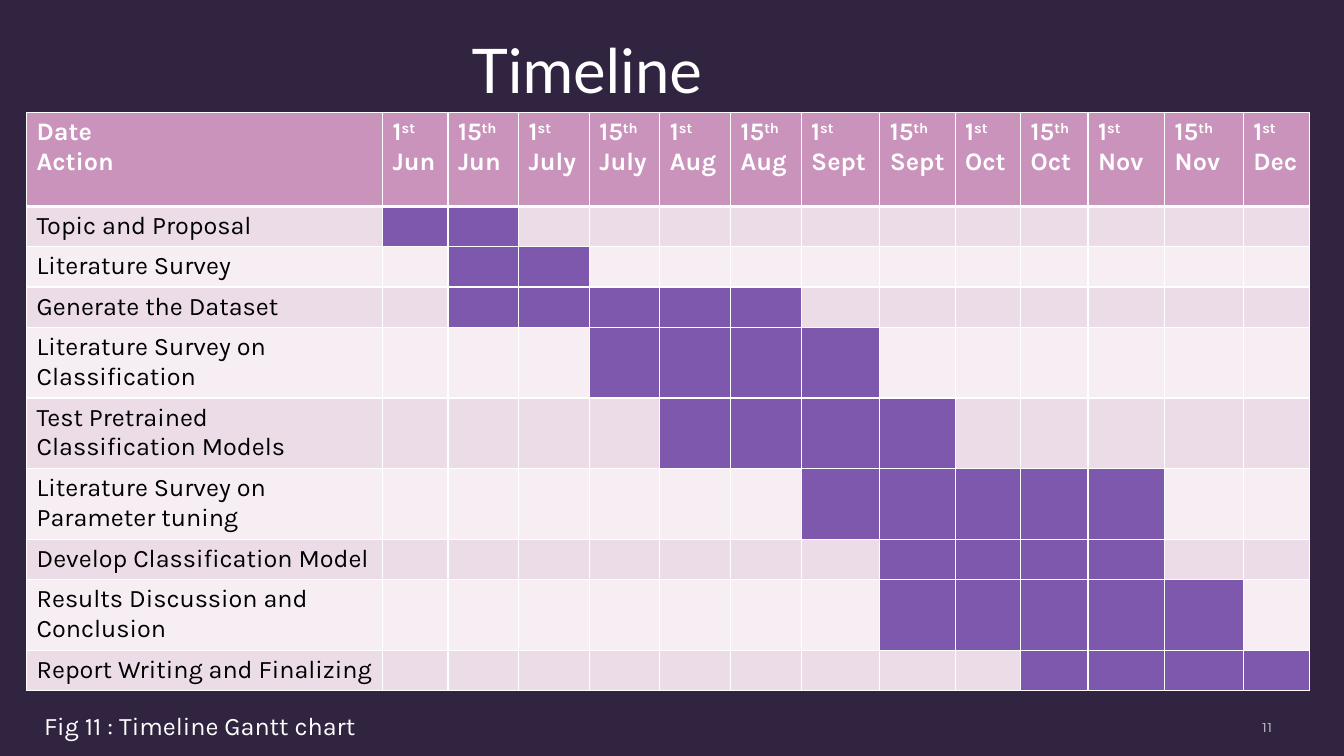
from lxml import etree
from pptx import Presentation
from pptx import util as u
from pptx.dml.color import RGBColor
from pptx.enum import text as t
from pptx.oxml.ns import qn

WHITE, BLACK, NIGHT = "FFFFFF", "000000", "312441"
PINK, BANDS, BUSY = "CA93BB", ("ECDCE7", "F6EEF3"), "7D58AD"
WIDTHS = (8.97, 1.65, 1.78, 1.78, 1.78, 1.78, 1.78,
          1.98, 1.9, 1.65, 1.7, 1.93, 1.98, 1.68)
# Text between carets is raised.
HEADS = ("Date\nAction", "1^st^ Jun", "15^th^ Jun", "1^st^\nJuly", "15^th^ July",
         "1^st^\nAug", "15^th^ Aug", "1^st^\nSept", "15^th^ Sept",
         "1^st^\nOct", "15^th^ Oct", "1^st^ Nov", "15^th^ Nov", "1^st^ Dec")
# Task, first busy column, last busy column
TASKS = (("Topic and Proposal", 1, 2),
         ("Literature Survey", 2, 3),
         ("Generate the Dataset", 2, 6),
         ("Literature Survey on Classification", 4, 7),
         ("Test Pretrained Classification Models", 5, 8),
         ("Literature Survey on Parameter tuning", 7, 11),
         ("Develop Classification Model", 8, 11),
         ("Results Discussion and Conclusion", 8, 12),
         ("Report Writing and Finalizing", 10, 13))


def tint(code):
    return RGBColor.from_string(code)


def write(frame, words, size=18, face="Karla", ink=WHITE, bold=False,
          align=t.PP_ALIGN.LEFT, alpha=None):
    for i, line in enumerate(words.split("\n")):
        para = frame.add_paragraph() if i else frame.paragraphs[0]
        para.alignment = align
        for j, part in enumerate(line.split("^")):
            if not part:
                continue
            run = para.add_run()
            run.text = part
            font = run.font
            font.size, font.name, font.bold = u.Pt(size), face, bold
            font.color.rgb = tint(ink)
            if j % 2:
                font._element.set("baseline", "30000")
            if alpha:
                shade = font._element.find(".//" + qn("a:srgbClr"))
                etree.SubElement(shade, qn("a:alpha"), val=str(alpha * 1000))


def label(slide, box, words, wrap=True, inset=None,
          anchor=t.MSO_ANCHOR.TOP, **style):
    frame = slide.shapes.add_textbox(*map(u.Cm, box)).text_frame
    frame.word_wrap, frame.vertical_anchor = wrap, anchor
    if inset:
        (frame.margin_left, frame.margin_top,
         frame.margin_right, frame.margin_bottom) = map(u.Cm, inset)
    write(frame, words, **style)
    return frame


def paint(cell, fill, top=1, base=1):
    """Give a cell white borders and a plain fill."""
    props = cell._tc.get_or_add_tcPr()
    for side, width in zip("LRTB", (1, 1, top, base)):
        line = etree.SubElement(props, qn("a:ln" + side), w=str(u.Pt(width)))
        solid = etree.SubElement(line, qn("a:solidFill"))
        etree.SubElement(solid, qn("a:srgbClr"), val=WHITE)
    cell.fill.solid()
    cell.fill.fore_color.rgb = tint(fill)


def gantt(slide, box):
    frame = slide.shapes.add_table(len(TASKS) + 1, len(HEADS), *map(u.Cm, box))
    table = frame.table
    for col, width in zip(table.columns, WIDTHS):
        col.width = u.Cm(width)
    for i, row in enumerate(table.rows):
        row.height = u.Cm(0.97 if i else 2.36)
    for col, head in enumerate(HEADS):
        cell = table.cell(0, col)
        paint(cell, PINK, base=3)
        write(cell.text_frame, head, bold=True)
    for row, (task, first, last) in enumerate(TASKS, 1):
        for col in range(len(HEADS)):
            cell = table.cell(row, col)
            busy = first <= col <= last
            paint(cell, BUSY if busy else BANDS[(row - 1) % 2],
                  top=3 if row == 1 else 1)
            if col:
                # A small empty line keeps the row as low as its task name.
                para = cell.text_frame.paragraphs[0]
                para._p.get_or_add_endParaRPr().set("sz", "1200")
            else:
                write(cell.text_frame, task, ink=BLACK)


def footer(slide, box):
    left, top, width, height = box
    note = label(slide, (left, top, 8.46, height),
                 "Fig 11 : Timeline Gantt chart", wrap=False)
    note.auto_size = t.MSO_AUTO_SIZE.SHAPE_TO_FIT_TEXT
    label(slide, (left + width - 6.12, top, 6.12, height), "11", size=11,
          alpha=70, align=t.PP_ALIGN.RIGHT, anchor=t.MSO_ANCHOR.MIDDLE,
          inset=(0.3, 0.3, 0.3, 0.25))


def main():
    deck = Presentation()
    deck.slide_width, deck.slide_height = u.Cm(33.87), u.Cm(19.05)
    slide = deck.slides.add_slide(deck.slide_layouts[6])
    slide.background.fill.solid()
    slide.background.fill.fore_color.rgb = tint(NIGHT)
    label(slide, (0.86, 0.51, 27.86, 1.83), "Timeline", size=44, face="Lato",
          align=t.PP_ALIGN.CENTER, inset=(0.3, 0.3, 0.3, 0.25))
    gantt(slide, (0.67, 2.84, sum(WIDTHS), 14.55))
    footer(slide, (0.86, 17.78, 31.5, 1.02))
    deck.save("out.pptx")


if __name__ == "__main__":
    main()
